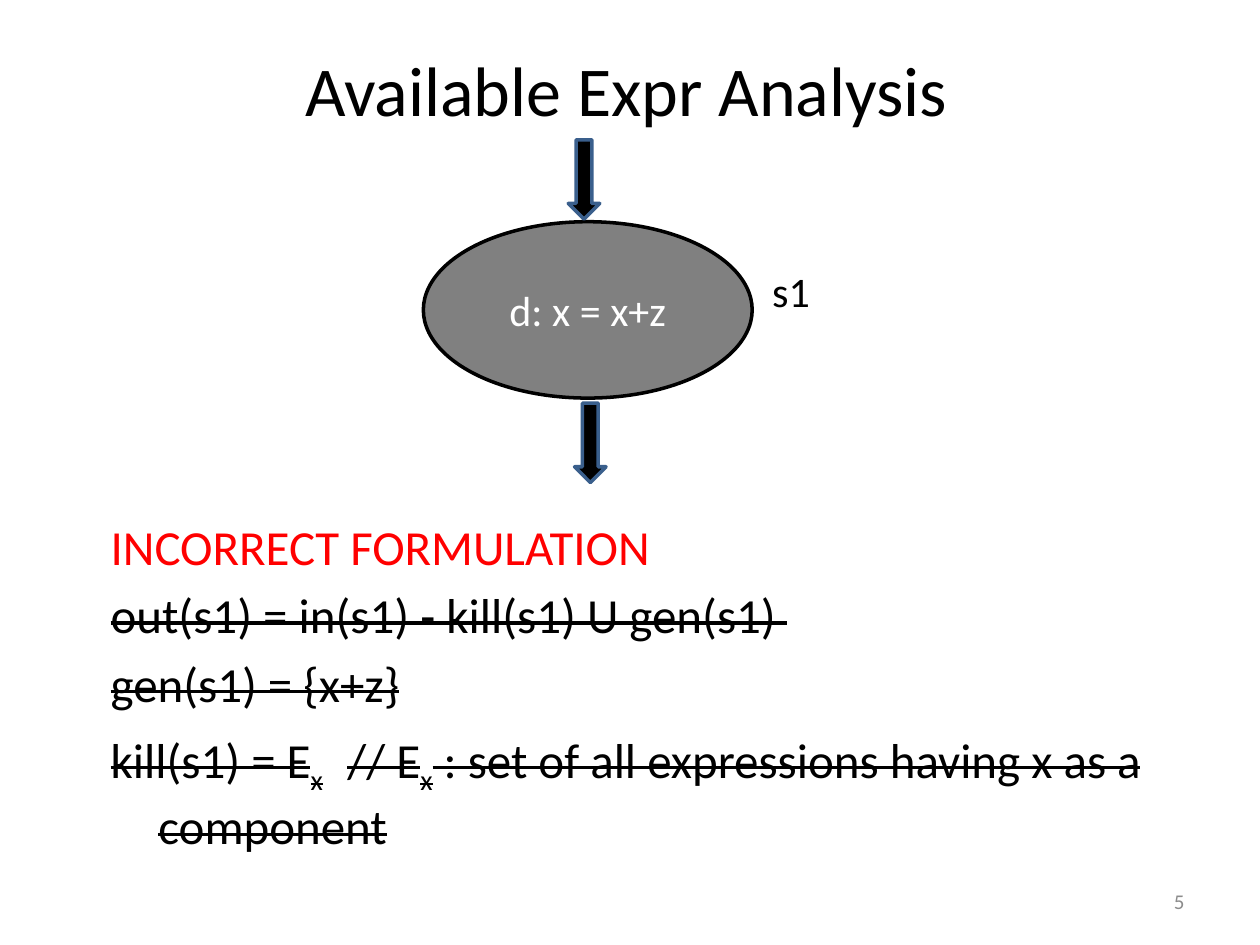
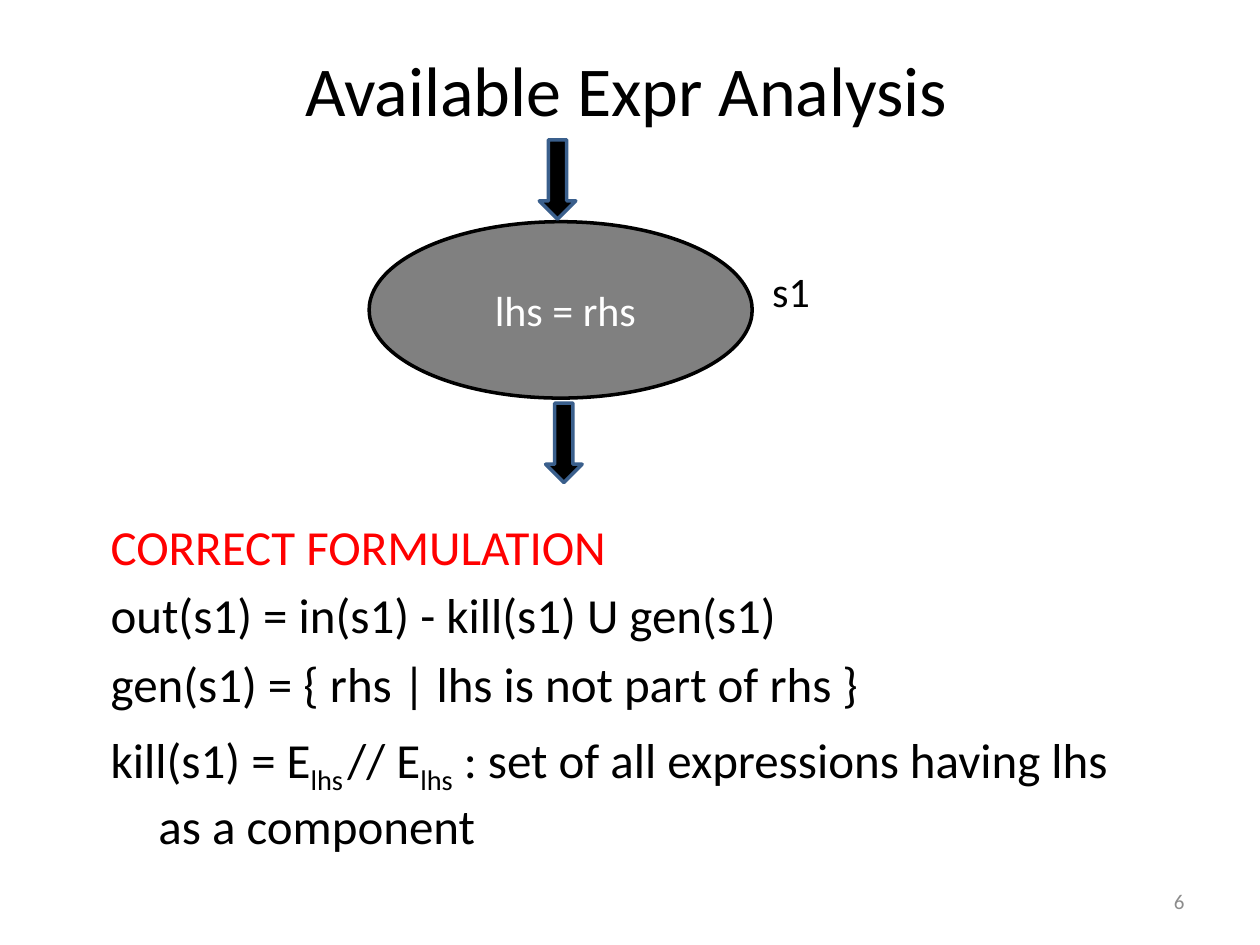
from lxml import etree
from pptx import Presentation
from pptx import util as u
from pptx.dml.color import RGBColor
from pptx.enum import shapes, text
from pptx.oxml import ns

FONT = "Calibri"
BLACK, WHITE, RED = "000000", "FFFFFF", "FF0000"
GRAY, BLUE, PALE = "808080", "3A5F8C", "8C8C8C"
MID, TOP = text.MSO_ANCHOR.MIDDLE, text.MSO_ANCHOR.TOP
LEFT, MITTE, RIGHT = text.PP_ALIGN.LEFT, text.PP_ALIGN.CENTER, text.PP_ALIGN.RIGHT
KIND = shapes.MSO_SHAPE


def style(run, size, color):
    """Set the font, size and colour of a run."""
    run.font.name = FONT
    run.font.size = u.Pt(size)
    run.font.color.rgb = RGBColor.from_string(color)


def write(shape, words, size, color, align, anchor=MID):
    """Put one line of styled text into a shape."""
    frame = shape.text_frame
    frame.word_wrap = True
    frame.vertical_anchor = anchor
    frame.text = words
    line = frame.paragraphs[0]
    line.alignment = align
    style(line.runs[0], size, color)


deck = Presentation()
deck.slide_width, deck.slide_height = u.Inches(10), u.Inches(7.5)

# Each slide: number, node text, node left, arrow width, arrow lefts (in, out),
# struck out or not, heading, gen set, subscript, tab stop, ending
pages = [
    (5, "d: x = x+z", 3.36, 0.25, (4.51, 4.56), True, "INCORRECT FORMULATION",
     "{x+z}", "x", 2.18, "x as a component"),
    (6, " lhs = rhs", 2.93, 0.29, (4.28, 4.33), False, "CORRECT FORMULATION",
     "{ rhs | lhs is not part of rhs }", "lhs", 2.35, "lhs as a component"),
]
node_right = 5.97

for num, node, left, wide, lefts, struck, head, gen, sub, stop, end in pages:
    slide = deck.slides.add_slide(deck.slide_layouts[6])

    # Title, node label and slide number
    for words, box, size, color, align, anchor in [
        ("Available Expr Analysis", (0.36, 0.25, 9.22, 0.91), 40, BLACK, MITTE, MID),
        ("s1", (6.03, 2.06, 0.78, 0.5), 24, BLACK, LEFT, TOP),
        (str(num), (7.17, 6.95, 2.33, 0.4), 12, PALE, RIGHT, MID),
    ]:
        label = slide.shapes.add_textbox(*map(u.Inches, box))
        write(label, words, size, color, align, anchor)

    # Flow node with its arrows in and out
    group = slide.shapes.add_group_shape()
    for kind, box, fill, edge in [
        (KIND.OVAL, (left, 1.76, node_right - left, 1.4), GRAY, BLACK),
        (KIND.DOWN_ARROW, (lefts[1], 3.2, wide, 0.63), BLACK, BLUE),
        (KIND.DOWN_ARROW, (lefts[0], 1.11, wide, 0.63), BLACK, BLUE),
    ]:
        part = group.shapes.add_shape(kind, *map(u.Inches, box))
        part.shadow.inherit = False
        part.fill.solid()
        part.fill.fore_color.rgb = RGBColor.from_string(fill)
        part.line.color.rgb = RGBColor.from_string(edge)
        part.line.width = u.Pt(2)
        if kind == KIND.OVAL:
            write(part, node, 24, WHITE, MITTE)

    # Formulas: each paragraph is a list of runs
    body = slide.shapes.add_textbox(*map(u.Inches, (0.78, 4.07, 8.5, 2.74)))
    frame = body.text_frame
    frame.word_wrap = True
    frame.vertical_anchor = MID
    rows = [
        [head],
        ["out(s1) = in(s1) - kill(s1) U gen(s1) "],
        ["gen(s1) = " + gen],
        ["kill(s1) = E", sub, "\t", "// E", sub,
         " : set of all expressions having " + end],
    ]
    for i, row in enumerate(rows):
        para = frame.paragraphs[0] if i == 0 else frame.add_paragraph()
        para.space_before = u.Pt(5.6)
        props = para._p.get_or_add_pPr()
        props.set("marL", str(u.Inches(0.38)))
        props.set("indent", str(u.Inches(-0.38)))
        if "\t" in row:
            tabs = etree.SubElement(props, ns.qn("a:tabLst"))
            etree.SubElement(tabs, ns.qn("a:tab"), pos=str(u.Inches(stop)), algn="l")
        for words in row:
            run = para.add_run()
            run.text = words
            style(run, 32 if words == "\t" else 28, RED if i == 0 else BLACK)
            look = run._r.get_or_add_rPr()
            if struck and i > 0:
                look.set("strike", "sngStrike")
            if words == sub:
                look.set("baseline", "-25000")

deck.save("out.pptx")
